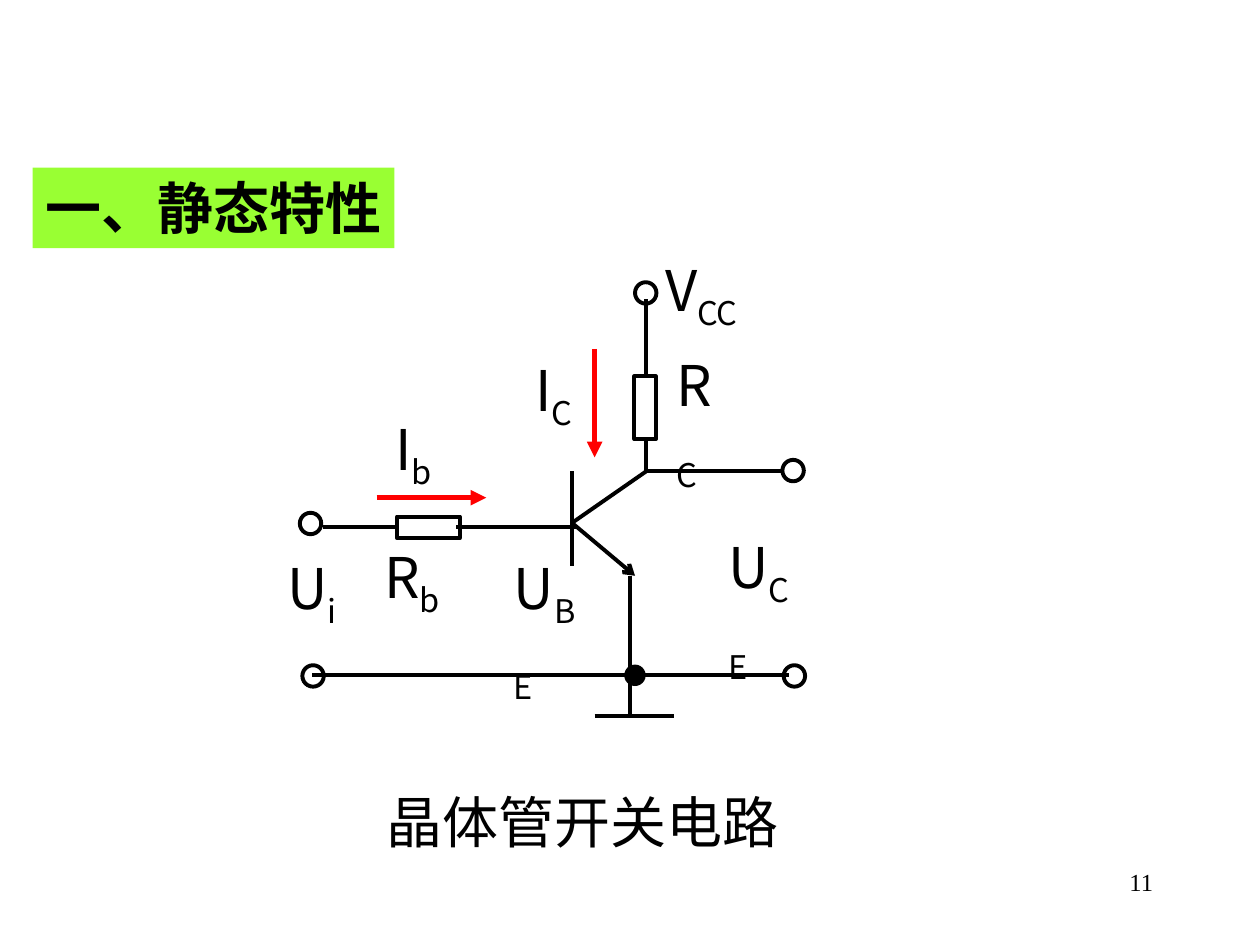
"""Build a slide showing a transistor switching circuit."""
from lxml.etree import SubElement
from pptx import Presentation
from pptx.dml.color import RGBColor
from pptx.enum.shapes import MSO_CONNECTOR as CONN, MSO_SHAPE as SHAPE
from pptx.enum.text import PP_ALIGN as ALIGN
from pptx.oxml.ns import qn
from pptx.util import Inches, Pt

BLACK = RGBColor(0x00, 0x00, 0x00)
RED = RGBColor(0xFF, 0x00, 0x00)
LIME = RGBColor(0x99, 0xFF, 0x33)
SANS = "Noto Sans CJK SC"
SERIF = "Times New Roman"


def add_run(p, text, size=32, font=SANS, bold=False, color=BLACK, sub=False):
    r = p.add_run()
    r.text = text
    r.font.size = Pt(size)
    r.font.bold = bold
    r.font.name = font
    r.font.color.rgb = color
    rPr = r._r.get_or_add_rPr()
    SubElement(rPr, qn("a:ea")).set("typeface", font)
    if sub:
        rPr.set("baseline", "-25000")


class Circuit:
    def __init__(self, slide, width=2.25, terminal=0.17):
        self.shapes = slide.shapes
        self.width = width
        self.terminal_size = terminal

    def wire(self, x1, y1, x2, y2, color=BLACK, width=None, head=None):
        s = self.shapes.add_connector(
            CONN.STRAIGHT, Inches(x1), Inches(y1), Inches(x2), Inches(y2))
        s.line.color.rgb = color
        s.line.width = Pt(width or self.width)
        if head:
            SubElement(s.line._get_or_add_ln(), qn("a:tailEnd")).set("type", head)
        SubElement(s._element.spPr, qn("a:effectLst"))

    def current(self, x1, y1, x2, y2):
        self.wire(x1, y1, x2, y2, color=RED, width=3, head="triangle")

    def outline(self, kind, x, y, w, h, fill=None, width=None):
        s = self.shapes.add_shape(kind, Inches(x), Inches(y), Inches(w), Inches(h))
        s.shadow.inherit = False
        if fill is None:
            s.fill.background()
        else:
            s.fill.solid()
            s.fill.fore_color.rgb = fill
        s.line.color.rgb = BLACK
        s.line.width = Pt(width or self.width)
        return s

    def resistor(self, x, y, rotation=0):
        self.outline(SHAPE.RECTANGLE, x, y, 0.5, 0.17).rotation = rotation

    def terminal(self, x, y):
        self.outline(SHAPE.OVAL, x, y, self.terminal_size, self.terminal_size)

    def junction(self, x, y):
        self.outline(SHAPE.OVAL, x, y, 0.16, 0.16, fill=BLACK, width=0.75)

    def text(self, text, x, y, w, h, wrap=False, align=ALIGN.LEFT, fill=None, **fmt):
        s = self.shapes.add_textbox(Inches(x), Inches(y), Inches(w), Inches(h))
        if fill is not None:
            s.fill.solid()
            s.fill.fore_color.rgb = fill
        tf = s.text_frame
        tf.word_wrap = wrap
        p = tf.paragraphs[0]
        p.alignment = align
        add_run(p, text, **fmt)
        return p

    def label(self, symbol, index, x, y, w):
        p = self.text(symbol, x, y, w, 0.71, wrap=True)
        add_run(p, index, sub=True)


def main():
    prs = Presentation()
    prs.slide_width, prs.slide_height = Inches(10), Inches(7.5)
    c = Circuit(prs.slides.add_slide(prs.slide_layouts[6]))

    c.text("11", 7.17, 6.83, 2.08, 0.5, wrap=True, align=ALIGN.RIGHT, size=14, font=SERIF)
    c.text("一、静态特性", 0.26, 1.33, 2.87, 0.64, fill=LIME, bold=True)

    c.resistor(3.15, 4.1)
    c.resistor(4.87, 3.15, rotation=270)

    c.wire(4.54, 4.15, 5.04, 4.57, head="arrow")
    for ends in (
        (4.54, 3.74, 4.54, 4.49),
        (4.54, 4.15, 5.13, 3.74),
        (5.13, 3.74, 5.13, 3.49),
        (5.13, 2.99, 5.13, 2.37),
        (5.13, 3.74, 6.21, 3.74),
        (5, 4.57, 5, 5.68),
        (4.72, 5.68, 5.35, 5.68),
        (4.57, 4.18, 3.62, 4.18),
        (3.15, 4.18, 2.56, 4.18),
        (2.48, 5.36, 6.26, 5.36),
    ):
        c.wire(*ends)

    c.current(2.99, 3.95, 3.86, 3.95)
    c.current(4.72, 2.77, 4.72, 3.63)

    for x, y in ((2.38, 4.07), (6.21, 3.65), (5.04, 2.24), (6.22, 5.28), (2.4, 5.28)):
        c.terminal(x, y)
    c.junction(4.96, 5.28)

    for symbol, index, x, y, w in (
        ("R", "b", 2.95, 4.26, 0.7),
        ("U", "i", 2.18, 4.34, 0.62),
        ("R", "C", 5.27, 2.73, 0.62),
        ("V", "CC", 5.18, 1.98, 0.82),
        ("U", "CE", 5.68, 4.18, 0.77),
        ("U", "BE", 3.98, 4.34, 0.77),
        ("I", "C", 4.15, 2.77, 0.62),
        ("I", "b", 3.04, 3.24, 0.62),
    ):
        c.label(symbol, index, x, y, w)
    c.text("晶体管开关电路", 2.97, 6.2, 3.4, 0.64, wrap=True)

    prs.save("out.pptx")


if __name__ == "__main__":
    main()
